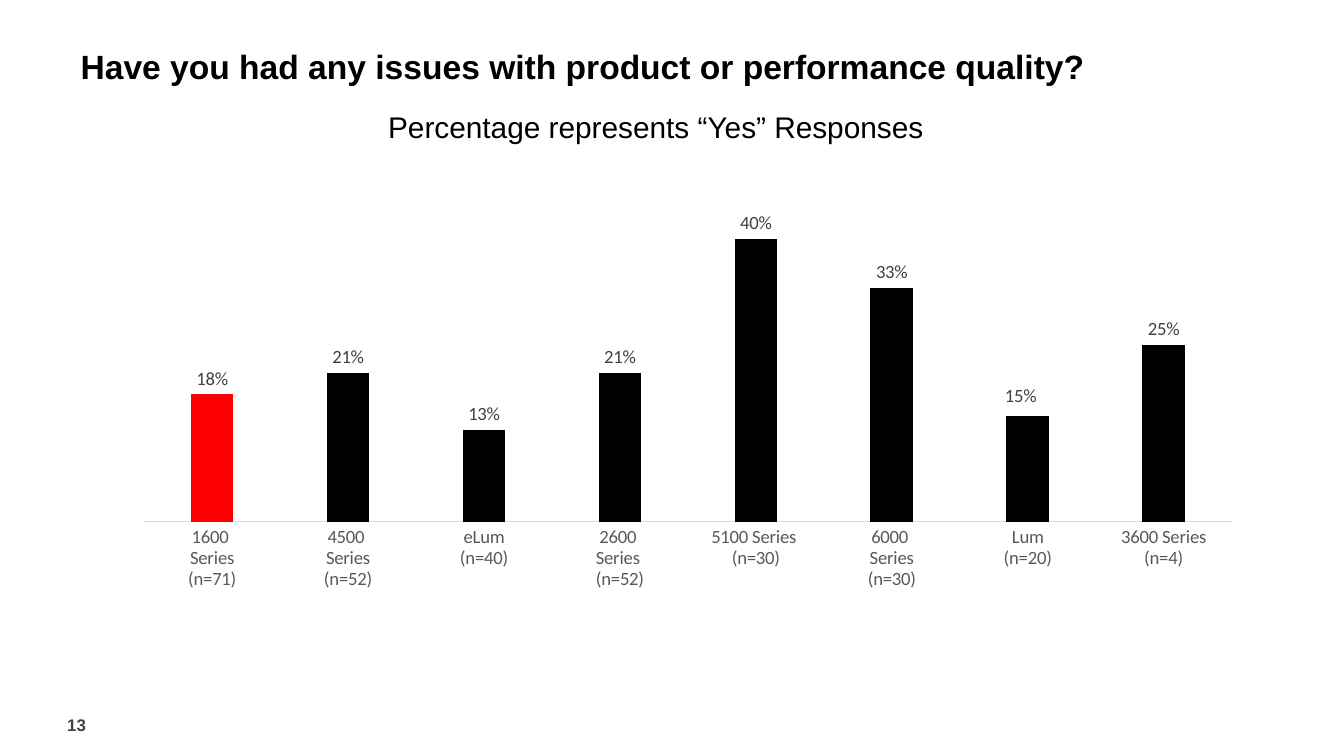
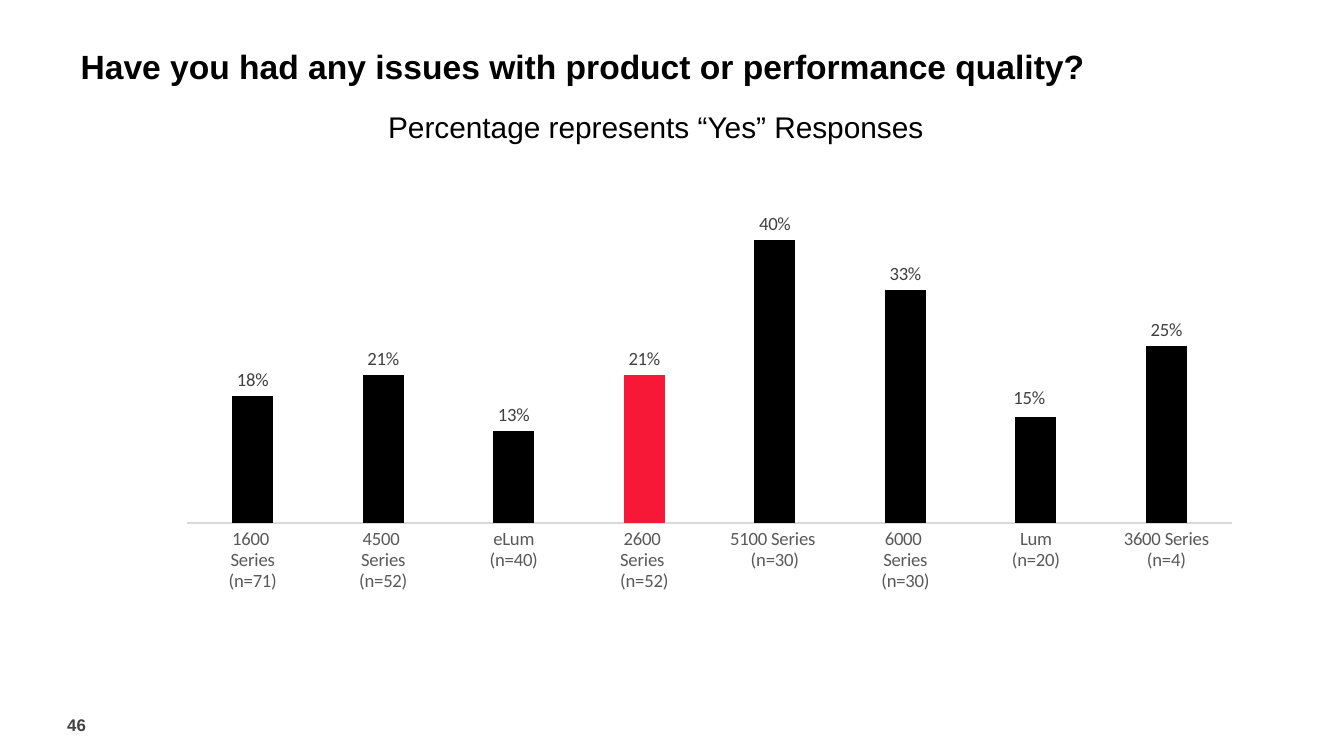
from lxml import etree
from pptx import Presentation
from pptx.chart.data import CategoryChartData
from pptx.dml.color import RGBColor
from pptx.enum.chart import XL_CHART_TYPE, XL_LABEL_POSITION, XL_TICK_MARK
from pptx.enum.text import MSO_ANCHOR, MSO_AUTO_SIZE, PP_ALIGN
from pptx.oxml.ns import qn
from pptx.util import Inches, Pt

COLORS = {
    "black": "000000",
    "number": "414141",
    "value": "404040",
    "category": "595959",
    "axis": "D9D9D9",
    "red": "FF0000",
    "crimson": "F71837",
}
TITLE = "Have you had any issues with product or performance quality?"
SUBTITLE = "Percentage represents “Yes” Responses"
YES_SHARES = {
    "1600 \nSeries\n(n=71)": 0.18,
    "4500 \nSeries\n(n=52)": 0.21,
    "eLum\n(n=40)": 0.13,
    "2600 \nSeries \n(n=52)": 0.21,
    "5100 Series \n(n=30)": 0.40,
    "6000 \nSeries\n(n=30)": 0.33,
    "Lum\n(n=20)": 0.15,
    "3600 Series\n(n=4)": 0.25,
}
SHIFTED_LABEL = 6

# Page number, chart left, chart top, highlighted bar, highlight colour
SLIDES = [
    ("13", 0.36, 0.95, 0, "red"),
    ("46", 0.71, 0.96, 3, "crimson"),
]
CHART_RIGHT = 9.17


def style_font(font, name, size, color, bold=False):
    font.name, font.size, font.bold = name, Pt(size), bold
    font.color.rgb = RGBColor.from_string(COLORS[color])


def add_layout(parent, index, **settings):
    """Insert a manual chart layout as child number index of parent."""
    layout = etree.Element(qn("c:layout"))
    manual = etree.SubElement(layout, qn("c:manualLayout"))
    for tag, value in settings.items():
        etree.SubElement(manual, qn(f"c:{tag}")).set("val", str(value))
    parent.insert(index, layout)


# Widescreen, 16 to 9
prs = Presentation()
prs.slide_width = Inches(10)
prs.slide_height = prs.slide_width * 9 // 16

for page, chart_left, chart_top, highlight, highlight_color in SLIDES:
    slide = prs.slides.add_slide(prs.slide_layouts[5])

    # Title, subtitle and page number
    title = slide.shapes.title
    title.left, title.top = Inches(0.5), Inches(0.32)
    title.width, title.height = Inches(8.89), Inches(0.34)
    number = slide.shapes.add_textbox(
        Inches(0.5), Inches(5.27), Inches(0.75), Inches(0.25))
    subtitle = slide.shapes.add_textbox(
        Inches(2.79), Inches(0.76), Inches(4.47), Inches(0.37))
    for box, text, size, color, bold, anchor in [
        (title, TITLE, 18, "black", True, MSO_ANCHOR.MIDDLE),
        (number, page, 9, "number", True, MSO_ANCHOR.MIDDLE),
        (subtitle, SUBTITLE, 16, "black", False, MSO_ANCHOR.TOP),
    ]:
        frame = box.text_frame
        frame.text = text
        frame.word_wrap = True
        frame.auto_size = MSO_AUTO_SIZE.NONE
        frame.vertical_anchor = anchor
        frame.paragraphs[0].alignment = PP_ALIGN.LEFT
        style_font(frame.paragraphs[0].runs[0].font, "Arial", size, color, bold)
    frame = number.text_frame
    frame.margin_left = frame.margin_right = 0
    frame.margin_top = frame.margin_bottom = 0

    # Column chart
    data = CategoryChartData(number_format="0%")
    data.categories = list(YES_SHARES)
    data.add_series("Series 1", list(YES_SHARES.values()))
    chart = slide.shapes.add_chart(
        XL_CHART_TYPE.COLUMN_CLUSTERED, Inches(chart_left), Inches(chart_top),
        Inches(CHART_RIGHT - chart_left), Inches(4.09), data).chart
    chart.has_legend = False
    chart.has_title = False
    style_font(chart.font, "Calibri", 10, "black")

    # Plot area
    plot_area = chart._chartSpace.chart.plotArea
    for old_layout in plot_area.findall(qn("c:layout")):
        plot_area.remove(old_layout)
    add_layout(plot_area, 0, layoutTarget="inner", xMode="edge", yMode="edge",
               x=0.081, y=0.138, w=0.919, h=0.579)

    # Axes
    categories = chart.category_axis
    categories.major_tick_mark = categories.minor_tick_mark = XL_TICK_MARK.NONE
    categories.format.line.color.rgb = RGBColor.from_string(COLORS["axis"])
    categories.format.line.width = Pt(0.75)
    style_font(categories.tick_labels.font, "Calibri", 10, "category")
    shares = chart.value_axis
    shares.minimum_scale, shares.maximum_scale = 0, 0.45
    shares.has_major_gridlines = False
    shares.tick_labels.number_format = "0%"
    shares.tick_labels.number_format_is_linked = False
    shares.visible = False

    # Bars, one highlighted
    plot = chart.plots[0]
    plot.gap_width, plot.overlap = 219, -27
    plot.vary_by_categories = False
    series = plot.series[0]
    series.invert_if_negative = False
    for fill, color in [
        (series.format.fill, "black"),
        (series.points[highlight].format.fill, highlight_color),
    ]:
        fill.solid()
        fill.fore_color.rgb = RGBColor.from_string(COLORS[color])

    # Value labels, one of them nudged up and left
    labels = series.data_labels
    labels.show_value = True
    labels.number_format, labels.number_format_is_linked = "0%", False
    shifted = series.points[SHIFTED_LABEL].data_label
    for label in (labels, shifted):
        label.position = XL_LABEL_POSITION.OUTSIDE_END
        style_font(label.font, "Calibri", 10, "value")
    shifted_element = labels._element.find(qn("c:dLbl"))
    add_layout(shifted_element, 1, x=-0.006, y=-0.006)
    number_format = etree.Element(qn("c:numFmt"), formatCode="0%", sourceLinked="0")
    shifted_element.insert(2, number_format)

prs.save("out.pptx")
